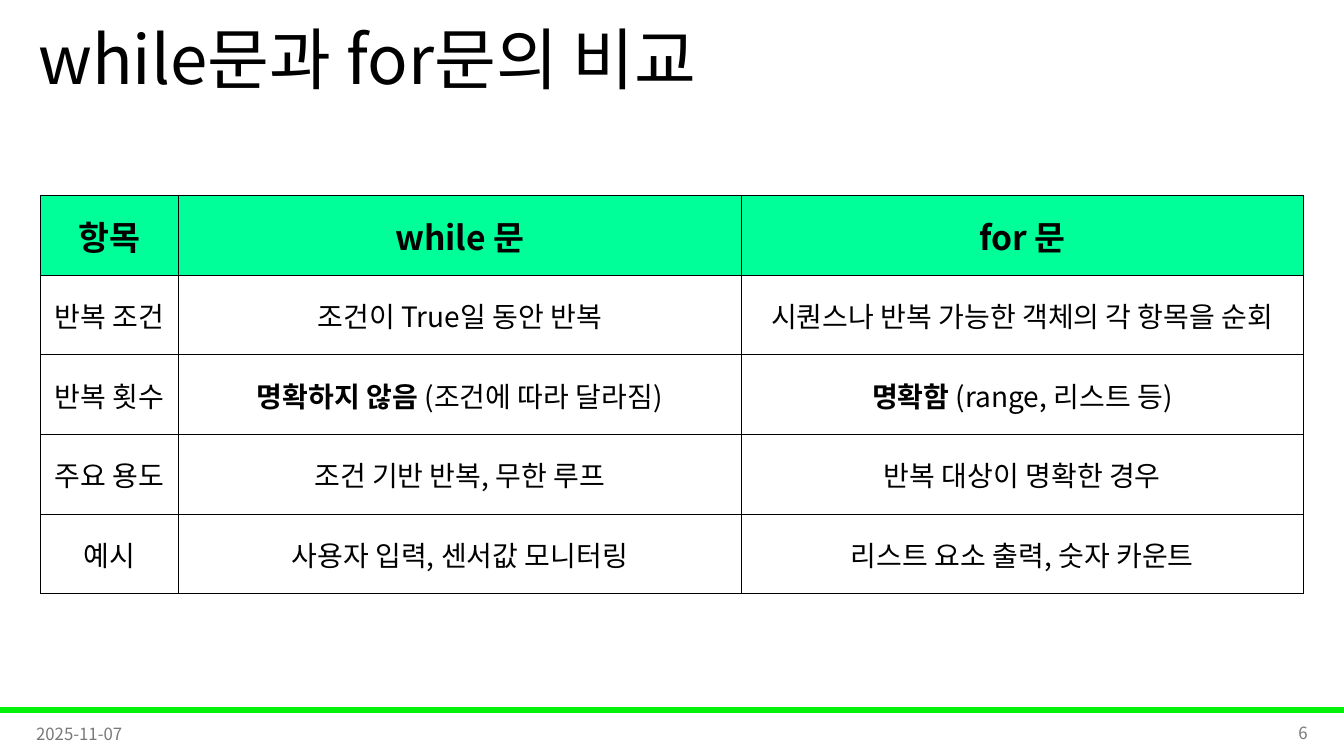
from dataclasses import dataclass

from lxml.etree import SubElement
from pptx import Presentation
from pptx.dml.color import RGBColor
from pptx.enum.shapes import MSO_SHAPE
from pptx.enum.text import MSO_ANCHOR, PP_ALIGN
from pptx.oxml.ns import qn
from pptx.slide import Slide
from pptx.table import _Cell
from pptx.text.text import _Paragraph
from pptx.util import Inches, Pt

FACE = "Noto Sans CJK KR"
BLACK = RGBColor(0x00, 0x00, 0x00)
GRAY = RGBColor(0x79, 0x79, 0x79)
GREEN = RGBColor(0x00, 0xF2, 0x09)
MINT = RGBColor(0x00, 0xFF, 0x99)
WIDE, HIGH = Inches(13.33), Inches(7.5)


@dataclass(frozen=True)
class Box:
    left: float
    top: float
    width: float
    height: float

    def place(self) -> tuple[int, int, int, int]:
        return across(self.left), down(self.top), across(self.width), down(self.height)


@dataclass(frozen=True)
class Label:
    text: str
    box: Box
    size: int
    color: RGBColor
    align: PP_ALIGN = PP_ALIGN.LEFT
    spacing: float = 1.0


@dataclass(frozen=True)
class Entry:
    text: str
    strong: str = ""


LABELS = (
    Label("while문과 for문의 비교", Box(2.1, 0, 86.27, 16.67), 48, BLACK, spacing=0.9),
    Label("2025-11-07", Box(1.95, 94.4, 22.5, 5.33), 12, GRAY),
    Label("6", Box(75.54, 94.27, 22.5, 5.33), 12, GRAY, PP_ALIGN.RIGHT),
)
STRIPE = Box(0, 93.6, 100, 0.67)
GRID = Box(3, 25.87, 94, 52.67)
COLUMNS = (10.28, 41.86, 41.86)
ROWS = (
    (Entry("항목"), Entry("while 문"), Entry("for 문")),
    (Entry("반복 조건"), Entry("조건이 True일 동안 반복"),
     Entry("시퀀스나 반복 가능한 객체의 각 항목을 순회")),
    (Entry("반복 횟수"), Entry("(조건에 따라 달라짐)", "명확하지 않음 "),
     Entry("(range, 리스트 등)", "명확함 ")),
    (Entry("주요 용도"), Entry("조건 기반 반복, 무한 루프"), Entry("반복 대상이 명확한 경우")),
    (Entry("예시"), Entry("사용자 입력, 센서값 모니터링"),
     Entry("리스트 요소 출력, 숫자 카운트")),
)


def across(share: float) -> int:
    return round(WIDE * share / 100)


def down(share: float) -> int:
    return round(HIGH * share / 100)


def style(para: _Paragraph, size: int, color: RGBColor, align: PP_ALIGN) -> None:
    para.alignment = align
    font = para.font
    font.name = FACE
    font.size = Pt(size)
    font.color.rgb = color
    SubElement(font._element, qn("a:ea"), typeface=FACE)


def write(slide: Slide, label: Label) -> None:
    frame = slide.shapes.add_textbox(*label.box.place()).text_frame
    frame.word_wrap = True
    frame.vertical_anchor = MSO_ANCHOR.MIDDLE
    para = frame.paragraphs[0]
    para.add_run().text = label.text
    para.line_spacing = label.spacing
    style(para, label.size, label.color, label.align)


def border(cell: _Cell) -> None:
    props = cell._tc.get_or_add_tcPr()
    for side in ("lnL", "lnR", "lnT", "lnB"):
        line = SubElement(props, qn(f"a:{side}"), w=str(Pt(0.5)))
        fill = SubElement(line, qn("a:solidFill"))
        SubElement(fill, qn("a:srgbClr"), val=str(BLACK))


def enter(cell: _Cell, entry: Entry, head: bool) -> None:
    cell.vertical_anchor = MSO_ANCHOR.MIDDLE
    cell.margin_left = cell.margin_right = cell.margin_top = Inches(0.01)
    cell.margin_bottom = 0
    border(cell)
    if head:
        cell.fill.solid()
        cell.fill.fore_color.rgb = MINT
    else:
        cell.fill.background()
    para = cell.text_frame.paragraphs[0]
    if entry.strong:
        run = para.add_run()
        run.text = entry.strong
        run.font.bold = True
    para.add_run().text = entry.text
    style(para, 24 if head else 20, BLACK, PP_ALIGN.CENTER)
    para.font.bold = head


def tabulate(slide: Slide) -> None:
    table = slide.shapes.add_table(len(ROWS), len(COLUMNS), *GRID.place()).table
    table.first_row = table.horz_banding = False
    for column, share in zip(table.columns, COLUMNS):
        column.width = across(share)
    for at, (row, entries) in enumerate(zip(table.rows, ROWS)):
        row.height = down(GRID.height / len(ROWS))
        for cell, entry in zip(row.cells, entries):
            enter(cell, entry, at == 0)


def stripe(slide: Slide) -> None:
    bar = slide.shapes.add_shape(MSO_SHAPE.RECTANGLE, *STRIPE.place())
    bar.shadow.inherit = False
    bar.fill.solid()
    bar.fill.fore_color.rgb = GREEN
    bar.line.color.rgb = GREEN
    bar.line.width = Pt(1)


def main() -> None:
    deck = Presentation()
    deck.slide_width, deck.slide_height = WIDE, HIGH
    slide = deck.slides.add_slide(deck.slide_layouts[6])
    stripe(slide)
    for label in LABELS:
        write(slide, label)
    tabulate(slide)
    deck.save("out.pptx")


if __name__ == "__main__":
    main()
